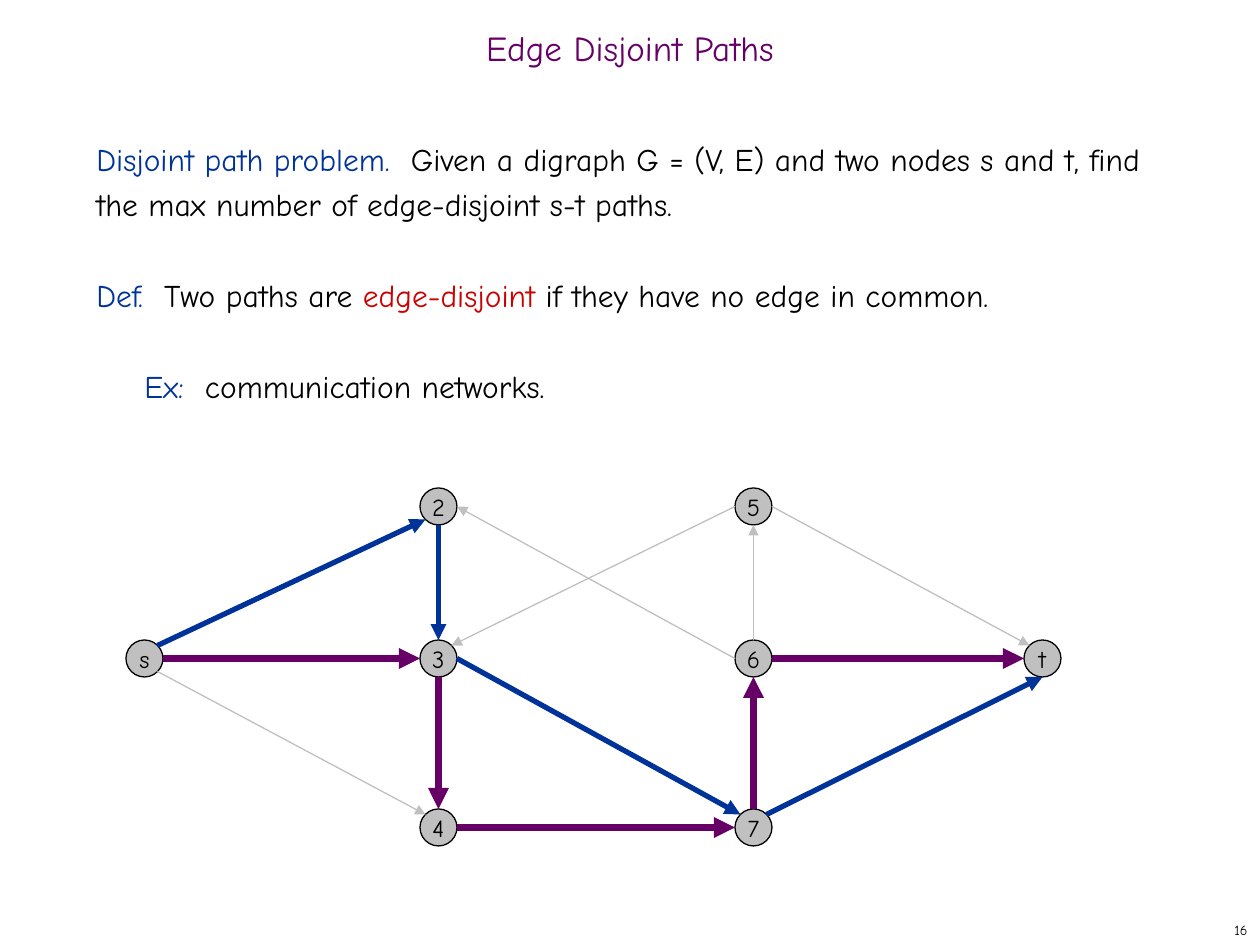
import pptx
import pptx.util
import pptx.dml.color
import pptx.enum.shapes
import pptx.enum.text
import pptx.oxml
import pptx.oxml.ns

RGBColor = pptx.dml.color.RGBColor
PURPLE = RGBColor(0x66, 0x00, 0x66)
BLUE = RGBColor(0x00, 0x33, 0x99)
RED = RGBColor(0xCC, 0x00, 0x00)
GRAY = RGBColor(0xC0, 0xC0, 0xC0)
BLACK = RGBColor(0x00, 0x00, 0x00)

ALIGN = pptx.enum.text.PP_ALIGN
MIDDLE = pptx.enum.text.MSO_ANCHOR.MIDDLE
TOP = pptx.enum.text.MSO_ANCHOR.TOP
Pt = pptx.util.Pt

NODE_SIZE = 37
# Points on a node's rim, as fractions of its size
RIM = {
    "N": (0.5, 0), "NE": (0.85, 0.15), "E": (1, 0.5), "SE": (0.85, 0.85),
    "S": (0.5, 1), "SW": (0.15, 0.85), "W": (0, 0.5), "NW": (0.15, 0.15),
}


def px(length):
    return pptx.util.Emu(round(length * 914400 / 126))


class SlideBuilder:
    font_name = "Comic Neue"

    def __init__(self, slide):
        self.slide = slide
        self.nodes = {}

    def style(self, paragraph, size, color=None, align=ALIGN.LEFT):
        paragraph.alignment = align
        paragraph.font.name = self.font_name
        paragraph.font.size = Pt(size)
        if color is not None:
            paragraph.font.color.rgb = color

    def title(self, text, left, top, width, height):
        heading = self.slide.shapes.title
        heading.left, heading.top = px(left), px(top)
        heading.width, heading.height = px(width), px(height)
        frame = heading.text_frame
        frame.text = text
        frame.auto_size = pptx.enum.text.MSO_AUTO_SIZE.NONE
        frame.vertical_anchor = MIDDLE
        frame.paragraphs[0].line_spacing = 0.7
        self.style(frame.paragraphs[0], 20, PURPLE, ALIGN.CENTER)

    def text_box(self, left, top, width, height, anchor=TOP):
        box = self.slide.shapes.add_textbox(px(left), px(top), px(width), px(height))
        box.text_frame.word_wrap = True
        box.text_frame.vertical_anchor = anchor
        return box.text_frame

    def statements(self, items, left, top, width, height):
        frame = self.text_box(left, top, width, height)
        for number, (indent, pieces) in enumerate(items):
            statement = frame.add_paragraph() if number else frame.paragraphs[0]
            statement.line_spacing = Pt(26)
            if number:
                statement.space_before = Pt(26)
            if indent:
                properties = statement._p.get_or_add_pPr()
                properties.set("marL", str(px(indent)))
                properties.set("indent", "0")
            self.style(statement, 18)
            for text, color in pieces:
                run = statement.add_run()
                run.text = text
                run.font.color.rgb = color

    def page_number(self, text, left, top, width, height):
        frame = self.text_box(left, top, width, height, MIDDLE)
        frame.text = text
        self.style(frame.paragraphs[0], 8, BLACK, ALIGN.RIGHT)

    def node(self, label, left, top):
        circle = self.slide.shapes.add_shape(
            pptx.enum.shapes.MSO_SHAPE.OVAL,
            px(left), px(top), px(NODE_SIZE), px(NODE_SIZE))
        circle.shadow.inherit = False
        circle.fill.solid()
        circle.fill.fore_color.rgb = GRAY
        circle.line.color.rgb = BLACK
        circle.line.width = Pt(0.75)
        frame = circle.text_frame
        frame.text = label
        frame.word_wrap = False
        frame.vertical_anchor = MIDDLE
        self.style(frame.paragraphs[0], 14, BLACK, ALIGN.CENTER)
        self.nodes[label] = (left, top)

    def rim_point(self, label, side):
        return [px(start + NODE_SIZE * part)
                for start, part in zip(self.nodes[label], RIM[side])]

    def edge(self, source, source_side, target, target_side, color, width):
        arrow = self.slide.shapes.add_connector(
            pptx.enum.shapes.MSO_CONNECTOR.STRAIGHT,
            *self.rim_point(source, source_side),
            *self.rim_point(target, target_side))
        arrow.line.color.rgb = color
        arrow.line.width = Pt(width)
        head = pptx.oxml.parse_xml(
            f'<a:tailEnd {pptx.oxml.ns.nsdecls("a")} type="triangle"/>')
        arrow.line._get_or_add_ln().append(head)
        no_shadow = pptx.oxml.parse_xml(
            f'<a:effectLst {pptx.oxml.ns.nsdecls("a")}/>')
        arrow._element.spPr.append(no_shadow)


def main():
    deck = pptx.Presentation()
    deck.slide_width, deck.slide_height = px(1260), px(945)
    builder = SlideBuilder(deck.slides.add_slide(deck.slide_layouts[5]))

    # Title and problem statement
    builder.title("Edge Disjoint Paths", 0, 21, 1260, 63)
    builder.statements([
        (0, [("Disjoint path problem.  ", BLUE),
             ("Given a digraph G = (V, E) and two nodes s and t, find "
              "the max number of edge-disjoint s-t paths.", BLACK)]),
        (0, [("Def.  ", BLUE), ("Two paths are ", BLACK),
             ("edge-disjoint", RED),
             (" if they have no edge in common.", BLACK)]),
        (48, [("Ex:  ", BLUE), ("communication networks.", BLACK)]),
    ], 84, 126, 1081, 300)

    # Graph nodes: s and t flank two columns of three
    upper, middle, lower = 488, 640, 809
    builder.node("s", 126, middle)
    for left, labels in ((420, "234"), (735, "567")):
        for label, top in zip(labels, (upper, middle, lower)):
            builder.node(label, left, top)
    builder.node("t", 1024, middle)

    # Edges: unused ones, then the two disjoint paths
    unused = [("s", "SE", "4", "NW"), ("6", "N", "5", "S"),
              ("5", "E", "t", "NW"), ("6", "W", "2", "E"),
              ("5", "W", "3", "NE")]
    blue_path = [("s", "NE", "2", "SW"), ("2", "S", "3", "N"),
                 ("3", "E", "7", "NW"), ("7", "NE", "t", "S")]
    purple_path = [("s", "E", "3", "W"), ("3", "S", "4", "N"),
                   ("4", "E", "7", "W"), ("7", "N", "6", "S"),
                   ("6", "E", "t", "W")]
    for edges, color, width in ((unused, GRAY, 0.75), (blue_path, BLUE, 3),
                                (purple_path, PURPLE, 4)):
        for ends in edges:
            builder.edge(*ends, color, width)

    builder.page_number("16", 998, 914, 262, 31)
    deck.save("out.pptx")


if __name__ == "__main__":
    main()
